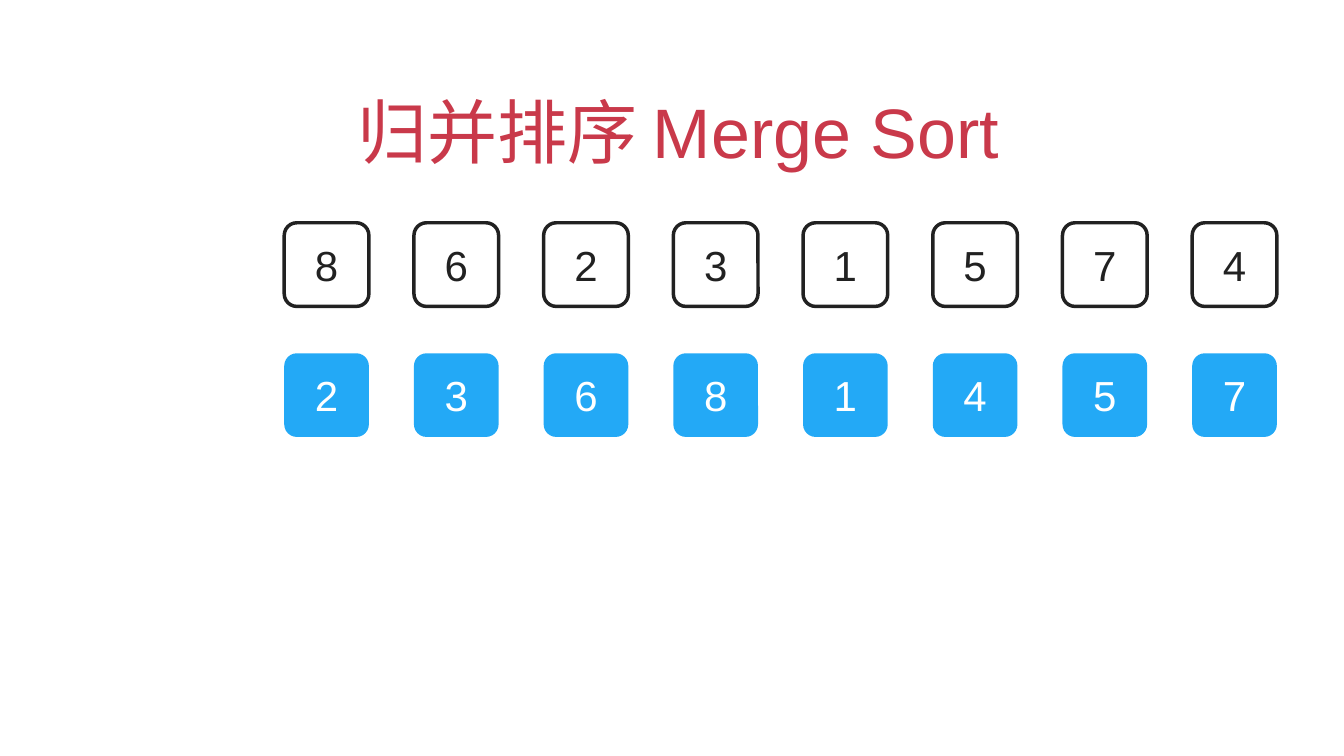
from pptx import Presentation
from pptx.dml.color import RGBColor
from pptx.enum.shapes import MSO_SHAPE
from pptx.enum.text import MSO_ANCHOR, PP_ALIGN
from pptx.util import Inches, Pt

RED = RGBColor(0xC9, 0x39, 0x4A)
BLUE = RGBColor(0x23, 0xA9, 0xF6)
DARK = RGBColor(0x21, 0x21, 0x21)
WHITE = RGBColor(0xFF, 0xFF, 0xFF)

TITLE = "归并排序 Merge Sort"
# values, fill, outline, text colour
ROWS = [
    ([8, 6, 2, 3, 1, 5, 7, 4], None, DARK, DARK),
    ([2, 3, 6, 8, 1, 4, 5, 7], BLUE, None, WHITE),
]

GRID_LEFT, GRID_TOP = 5.64, 4.42
COLUMN_STEP, ROW_STEP = 2.574, 2.59
CELL_WIDTH, CELL_HEIGHT = 1.68, 1.66
INSET = Inches(0.06)


def write_text(shape, text, size, color, anchor):
    frame = shape.text_frame
    frame.text = text
    frame.word_wrap = True
    frame.vertical_anchor = anchor
    frame.margin_left = frame.margin_right = INSET
    frame.margin_top = frame.margin_bottom = INSET
    paragraph = frame.paragraphs[0]
    paragraph.alignment = PP_ALIGN.CENTER
    font = paragraph.runs[0].font
    font.name = "Arial"
    font.size = Pt(size)
    font.color.rgb = color
    return paragraph


def add_cell(slide, column, row, value, fill, outline, text_color):
    cell = slide.shapes.add_shape(
        MSO_SHAPE.ROUNDED_RECTANGLE,
        Inches(GRID_LEFT + column * COLUMN_STEP),
        Inches(GRID_TOP + row * ROW_STEP),
        Inches(CELL_WIDTH), Inches(CELL_HEIGHT))
    cell.adjustments[0] = 0.15
    cell.shadow.inherit = False
    if fill is None:
        cell.fill.background()
    else:
        cell.fill.solid()
        cell.fill.fore_color.rgb = fill
    if outline is None:
        cell.line.fill.background()
    else:
        cell.line.color.rgb = outline
        cell.line.width = Pt(5)
    write_text(cell, str(value), 60, text_color, MSO_ANCHOR.MIDDLE)


def main():
    presentation = Presentation()
    presentation.slide_width = Inches(26.67)
    presentation.slide_height = Inches(15)
    slide = presentation.slides.add_slide(presentation.slide_layouts[6])

    title = slide.shapes.add_textbox(
        Inches(1.94), Inches(1.27), Inches(22.78), Inches(2.22))
    paragraph = write_text(title, TITLE, 100, RED, MSO_ANCHOR.BOTTOM)
    paragraph._p.get_or_add_pPr().set("indent", str(Inches(0.25)))

    for row, (values, *colors) in enumerate(ROWS):
        for column, value in enumerate(values):
            add_cell(slide, column, row, value, *colors)

    presentation.save("out.pptx")


if __name__ == "__main__":
    main()
